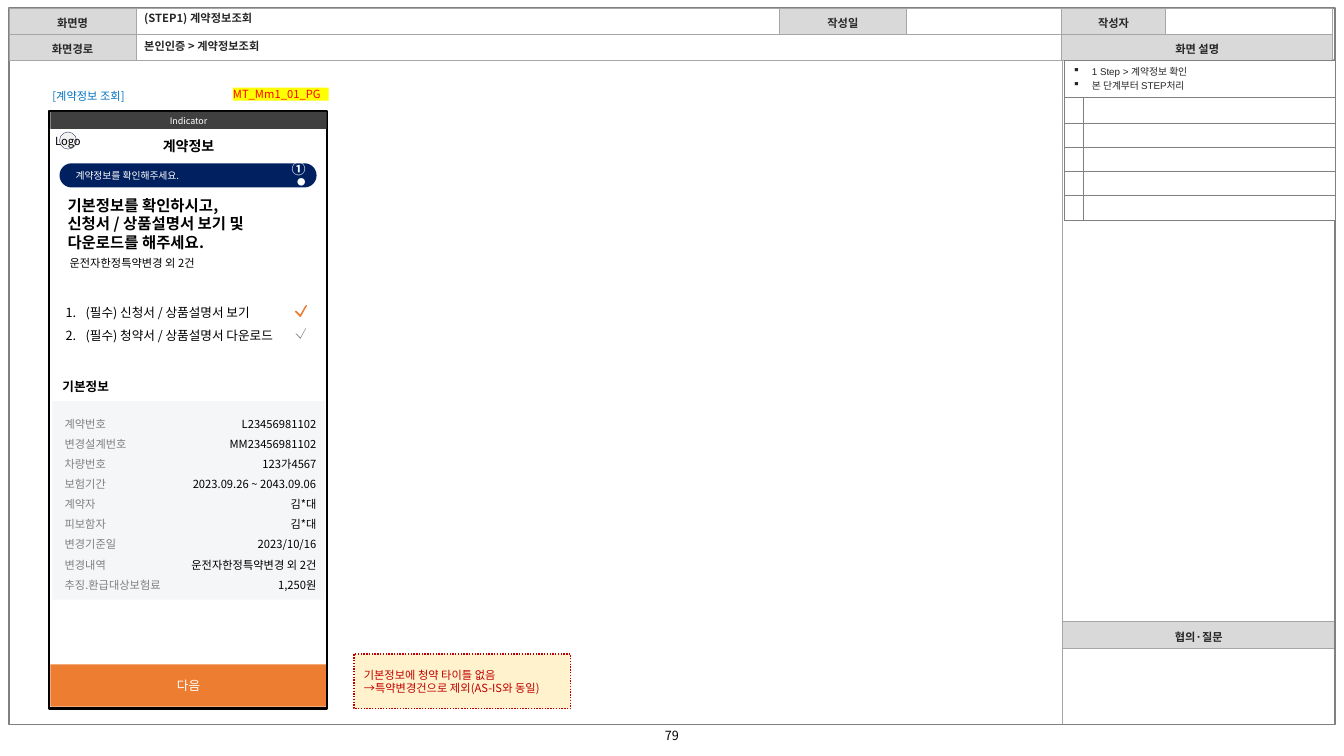
from dataclasses import dataclass

from lxml import etree
from pptx import Presentation
from pptx.dml.color import RGBColor
from pptx.enum.dml import MSO_LINE
from pptx.enum.shapes import MSO_SHAPE
from pptx.enum.text import MSO_ANCHOR, MSO_AUTO_SIZE, PP_ALIGN
from pptx.oxml.ns import qn
from pptx.util import Inches, Pt

LEFT, CENTER, RIGHT = PP_ALIGN.LEFT, PP_ALIGN.CENTER, PP_ALIGN.RIGHT
TOP, MIDDLE = MSO_ANCHOR.TOP, MSO_ANCHOR.MIDDLE
NO_FIT, GROW = MSO_AUTO_SIZE.NONE, MSO_AUTO_SIZE.SHAPE_TO_FIT_TEXT
RECTANGLE, ROUNDED, OVAL = MSO_SHAPE.RECTANGLE, MSO_SHAPE.ROUNDED_RECTANGLE, MSO_SHAPE.OVAL
DOTTED = MSO_LINE.ROUND_DOT
SIDES = ("left", "top", "right", "bottom")


@dataclass(frozen=True)
class Theme:
    font: str = "Noto Sans CJK KR"
    note_font: str = "Arial"
    black: str = "000000"
    white: str = "FFFFFF"
    ink: str = "262626"
    bar: str = "404040"
    check: str = "5F5F5F"
    gray: str = "808080"
    rule: str = "A6A6A6"
    label: str = "D9D9D9"
    panel: str = "F5F6F8"
    logo: str = "F2F2F2"
    logo_edge: str = "1E3256"
    navy: str = "002060"
    blue: str = "0070C0"
    orange: str = "ED7D31"
    red: str = "FF0000"
    dark_red: str = "C00000"
    yellow: str = "FFFF00"
    cream: str = "FFF2CC"
    dot: float = 6
    tiny: float = 6.4
    note: int = 7
    body: float = 8
    item: float = 9
    heading: float = 10
    headline: float = 11


THEME = Theme()


class ScreenPage:
    def __init__(self, slide, theme):
        self.slide, self.shapes, self.theme = slide, slide.shapes, theme

    def fill_text(self, frame, lines, size=None, color=None, bold=False, font=None, align=LEFT,
                  anchor=TOP, insets=(0, 0, 0, 0), wrap=True, fit=NO_FIT, spacing=1.0,
                  bullet=None, indent=0):
        """Fill a text frame; a line is a string or a list of (text, size) spans."""
        size = size or self.theme.body
        layout = {"word_wrap": wrap, "auto_size": fit, "vertical_anchor": anchor}
        layout.update((f"margin_{side}", Inches(inset)) for side, inset in zip(SIDES, insets))
        for name, value in layout.items():
            setattr(frame, name, value)
        for index, line in enumerate(lines):
            para = frame.add_paragraph() if index else frame.paragraphs[0]
            self.mark(para, bullet, indent)
            flow = {"alignment": align, "line_spacing": spacing, "space_before": Pt(0)}
            for name, value in flow.items():
                setattr(para, name, value)
            for text, span_size in [(line, size)] if isinstance(line, str) else line:
                self.add_span(para, text, span_size, color, bold, font)

    def add_span(self, para, text, size, color, bold, font):
        span = para.add_run()
        span.text = text
        style = {"name": font or self.theme.font, "size": Pt(size), "bold": bold}
        for name, value in style.items():
            setattr(span.font, name, value)
        span.font.color.rgb = RGBColor.from_string(color or self.theme.black)
        properties = span._r.get_or_add_rPr()
        etree.SubElement(properties, qn("a:ea"), typeface=self.theme.font)

    def mark(self, para, bullet, indent):
        """Set the bullet: None, "number" or a character."""
        properties = para._p.get_or_add_pPr()
        if bullet is None:
            left, hang = 0, 0
            etree.SubElement(properties, qn("a:buNone"))
        elif bullet == "number":
            left, hang = indent, -indent
            etree.SubElement(properties, qn("a:buAutoNum"), type="arabicPeriod")
        else:
            left, hang = indent, -0.19
            etree.SubElement(properties, qn("a:buChar"), char=bullet)
        properties.set("marL", str(Inches(left)))
        properties.set("indent", str(Inches(hang)))

    def placeholder(self, holder, area, text):
        holder.left, holder.top, holder.width, holder.height = map(Inches, area)
        self.fill_text(holder.text_frame, [text], color=self.theme.ink, bold=True,
                       anchor=MIDDLE, insets=(0.04,) * 4, spacing=0.8)
        self.shapes._spTree.append(holder._element)

    def text(self, area, lines, wrap=False, fit=GROW, **style):
        box = self.shapes.add_textbox(*map(Inches, area))
        self.fill_text(box.text_frame, lines, wrap=wrap, fit=fit, **style)

    def paint(self, shape, fill=None, line=None, weight=1.0, dash=None):
        shape.shadow.inherit = False
        for target, color in ((shape.fill, fill), (shape.line.fill, line)):
            if color:
                target.solid()
                target.fore_color.rgb = RGBColor.from_string(color)
            else:
                target.background()
        if line:
            shape.line.width = Pt(weight)
        if dash:
            shape.line.dash_style = dash

    def shape(self, kind, area, lines=(), corner=None, fill=None, line=None, weight=1.0,
              dash=None, **style):
        box = self.shapes.add_shape(kind, *map(Inches, area))
        if corner is not None:
            box.adjustments[0] = corner
        self.paint(box, fill, line, weight, dash)
        if lines:
            self.fill_text(box.text_frame, lines, **style)

    def check_mark(self, left, top, **look):
        outline = [(0.11, 0), (0.1, 0.01), (0.05, 0.1), (0.01, 0.06), (0, 0.06), (0.05, 0.11)]
        points = [(Inches(left + x), Inches(top + y)) for x, y in outline]
        builder = self.shapes.build_freeform(*points[0], scale=1.0)
        builder.add_line_segments(points[1:], close=True)
        self.paint(builder.convert_to_shape(), **look)

    def table(self, left, top, columns, rows, labels=None, merges=(), border=None, weight=0.75):
        """Draw a ruled grid; labels maps (row, column) to text in a shaded cell."""
        labels = labels or {}
        area = (left, top, sum(columns), sum(rows))
        table = self.shapes.add_table(len(rows), len(columns), *map(Inches, area)).table
        table.first_row = table.horz_banding = False
        for column, width in zip(table.columns, columns):
            column.width = Inches(width)
        for row, height in zip(table.rows, rows):
            row.height = Inches(height)
        for row, first, last in merges:
            table.cell(row, first).merge(table.cell(row, last))
        for row in range(len(rows)):
            for column in range(len(columns)):
                cell = table.cell(row, column)
                self.style_cell(cell, labels.get((row, column)), border or self.theme.rule, weight)
        return table

    def style_cell(self, cell, label, border, weight):
        properties = cell._tc.get_or_add_tcPr()
        for edge in ("a:lnL", "a:lnR", "a:lnT", "a:lnB"):
            line = etree.SubElement(properties, qn(edge), w=str(Pt(weight)))
            fill = etree.SubElement(line, qn("a:solidFill"))
            etree.SubElement(fill, qn("a:srgbClr"), val=border)
        cell.fill.solid()
        cell.fill.fore_color.rgb = RGBColor.from_string(
            self.theme.label if label else self.theme.white)
        cell.vertical_anchor = MIDDLE
        for side, inset in zip(SIDES, (0.04, 0.06, 0.04, 0.03)):
            setattr(cell, f"margin_{side}", Inches(inset))
        para = cell.text_frame.paragraphs[0]
        if label:
            para.alignment = CENTER
            self.add_span(para, label, self.theme.body, self.theme.ink, True, None)
        else:
            etree.SubElement(para._p, qn("a:endParaRPr"), sz=str(self.theme.note * 100))


def draw_frame(page):
    page.text((6.5, 7.22, 0.33, 0.15), ["79"], wrap=True, size=THEME.item, align=CENTER)
    page.table(10.54, 0.59, [2.7], [5.58, 0.26, 0.76], {(1, 0): "협의·질문"})
    page.shape(RECTANGLE, (0.09, 0.08, 13.15, 7.11), line=THEME.gray)
    page.table(0.09, 0.08, [1.26, 6.38, 1.26, 1.54, 1.03, 1.66], [0.26] * 2,
               {(0, 0): "화면명", (0, 2): "작성일", (0, 4): "작성자",
                (1, 0): "화면경로", (1, 4): "화면 설명"}, merges=[(1, 1, 3), (1, 4, 5)])
    page.placeholder(page.shapes.title, (1.39, 0.1, 6.24, 0.19), "(STEP1) 계약정보조회")
    page.placeholder(page.slide.placeholders[1], (1.39, 0.37, 9.05, 0.19),
                     "본인인증 > 계약정보조회")
    notes = page.table(10.55, 0.6, [0.19, 2.5], [0.26] * 2 + [0.24] * 4,
                       merges=[(0, 0, 1)], border=THEME.gray, weight=0.25).cell(0, 0)
    page.fill_text(notes.text_frame, ["1 Step > 계약정보 확인", "본 단계부터 STEP처리"],
                   size=THEME.note, color=THEME.ink, font=THEME.note_font, bullet="▪",
                   indent=0.28)
    notes.vertical_anchor = TOP
    for side, inset in zip(SIDES, (0, 0.04, 0, 0.04)):
        setattr(notes, f"margin_{side}", Inches(inset))


def draw_contract_details(page):
    details = {
        "계약번호": "L23456981102", "변경설계번호": "MM23456981102", "차량번호": "123가4567",
        "보험기간": "2023.09.26 ~ 2043.09.06", "계약자": "김*대", "피보함자": "김*대",
        "변경기준일": "2023/10/16", "변경내역": "운전자한정특약변경 외 2건",
        "추징.환급대상보험료": "1,250원",
    }
    page.shape(RECTANGLE, (0.52, 3.98, 2.7, 1.97), fill=THEME.panel)
    page.text((0.64, 4.07, 1.05, 1.82), details.keys(), color=THEME.gray, spacing=1.5)
    page.text((1.66, 4.07, 1.48, 1.82), details.values(), align=RIGHT, spacing=1.5)
    page.text((0.62, 3.76, 0.5, 0.15), ["기본정보"], size=THEME.item, bold=True)


def draw_phone(page):
    centered = {"align": CENTER, "anchor": MIDDLE}
    page.text((0.52, 0.89, 0.82, 0.13), ["[계약정보 조회]"], color=THEME.blue)
    page.shape(RECTANGLE, (2.31, 0.87, 0.95, 0.13), ["MT_Mm1_01_PG"], fill=THEME.yellow,
               color=THEME.red, wrap=False, fit=GROW)
    page.shape(ROUNDED, (0.5, 6.59, 2.74, 0.42), ["다음"], corner=0, fill=THEME.orange,
               size=THEME.item, color=THEME.white, **centered)
    page.shape(RECTANGLE, (0.49, 1.1, 2.75, 5.93), line=THEME.black, weight=1.5)
    page.shape(RECTANGLE, (0.5, 1.11, 2.74, 0.17), ["Indicator"], fill=THEME.bar,
               size=THEME.tiny, color=THEME.white, **centered)
    page.text((1.59, 1.36, 0.56, 0.17), ["계약정보"], size=THEME.heading, bold=True, **centered)
    page.shape(OVAL, (0.59, 1.31, 0.17, 0.17), ["Logo"], fill=THEME.logo,
               line=THEME.logo_edge, weight=0.25, wrap=False, **centered)
    page.shape(ROUNDED, (0.59, 1.62, 2.55, 0.24), corner=0.5, fill=THEME.navy)
    page.text((0.75, 1.68, 1.14, 0.12), ["계약정보를 확인해주세요."], size=THEME.note,
              color=THEME.white)
    page.text((2.81, 1.64, 0.22, 0.17), [[("①", THEME.heading), ("●", THEME.dot)]],
              color=THEME.white, bold=True, align=RIGHT, anchor=MIDDLE)
    page.text((0.67, 1.94, 2.04, 0.56),
              ["기본정보를 확인하시고,", "신청서 / 상품설명서 보기 및", "다운로드를 해주세요."],
              size=THEME.headline, bold=True, anchor=MIDDLE)
    page.text((0.69, 2.54, 2.08, 0.13), ["운전자한정특약변경 외 2건"], wrap=True)
    page.text((0.65, 2.95, 2.31, 0.65),
              ["(필수) 신청서 / 상품설명서 보기", "(필수) 청약서 / 상품설명서 다운로드"],
              size=THEME.item, spacing=1.5, bullet="number", indent=0.2)
    page.check_mark(2.93, 3.03, fill=THEME.check, line=THEME.orange, weight=0.75)
    page.check_mark(2.93, 3.25, fill=THEME.gray)


def main():
    deck = Presentation()
    deck.slide_width, deck.slide_height = Inches(13.33), Inches(7.5)
    page = ScreenPage(deck.slides.add_slide(deck.slide_layouts[1]), THEME)
    draw_frame(page)
    draw_contract_details(page)
    draw_phone(page)
    page.shape(RECTANGLE, (3.51, 6.49, 2.15, 0.54),
               ["기본정보에 청약 타이틀 없음", "→특약변경건으로 제외(AS-IS와 동일)"],
               fill=THEME.cream, line=THEME.dark_red, dash=DOTTED, color=THEME.dark_red,
               anchor=MIDDLE, insets=(0.1, 0.05, 0.1, 0.05))
    deck.save("out.pptx")


if __name__ == "__main__":
    main()
